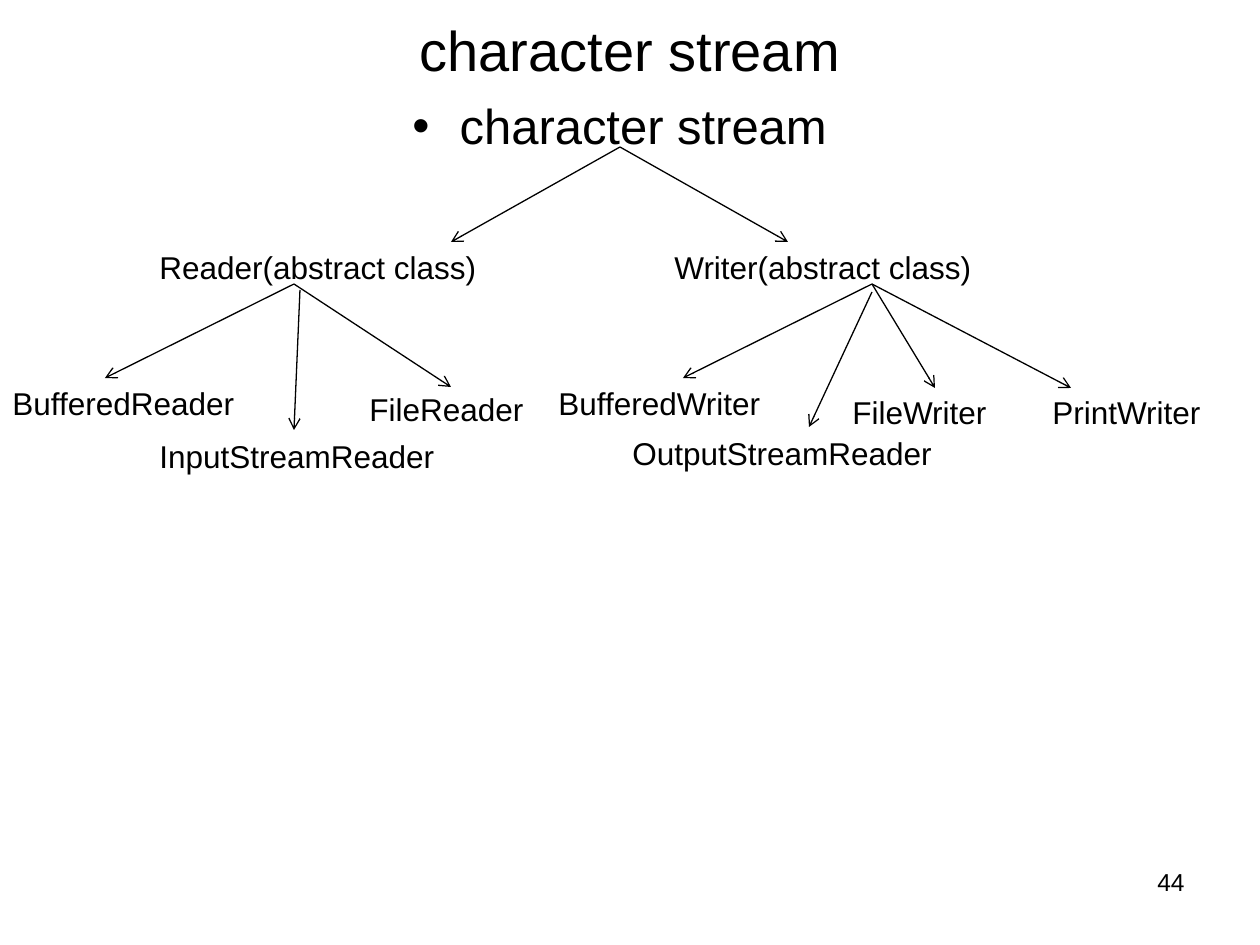
from pptx import Presentation
from pptx.dml.color import RGBColor
from pptx.enum.shapes import MSO_CONNECTOR
from pptx.enum.text import MSO_ANCHOR as ANCHOR, MSO_AUTO_SIZE as FIT, PP_ALIGN as ALIGN
from pptx.oxml.ns import qn
from pptx.util import Emu, Pt
from lxml.etree import SubElement

BLACK = RGBColor(0, 0, 0)
FONT = "Arial"
LABEL_H = 50

# Children of each class, relative to the point where its arrows meet:
# name, label (x, y, width), arrow start, arrow end
READERS = [
    ("BufferedReader", (-294, 94, 262), (0, 0), (-189, 94)),
    ("FileReader", (63, 100, 199), (0, 0), (157, 103)),
    ("InputStreamReader", (-147, 147, 305), (6, 6), (0, 146)),
]
WRITERS = [
    ("BufferedWriter", (-326, 94, 231), (0, 0), (-189, 94)),
    ("FileWriter", (-32, 103, 189), (0, 0), (63, 104)),
    ("PrintWriter", (168, 103, 189), (0, 0), (199, 104)),
    ("OutputStreamReader", (-252, 144, 347), (0, 8), (-63, 143)),
]


def px(n):
    return Emu(round(n * 914400 / 126))


def write(sp, text, size, align):
    tf = sp.text_frame
    tf.word_wrap = True
    tf.text = text
    p = tf.paragraphs[0]
    p.alignment = align
    font = p.runs[0].font
    font.name, font.size, font.color.rgb = FONT, Pt(size), BLACK


def label(slide, text, x, y, w, h=LABEL_H, size=18, align=ALIGN.LEFT):
    sp = slide.shapes.add_textbox(px(x), px(y), px(w), px(h))
    write(sp, text, size, align)


def arrow(slide, x1, y1, x2, y2):
    line = slide.shapes.add_connector(
        MSO_CONNECTOR.STRAIGHT, px(x1), px(y1), px(x2), px(y2))
    line.line.color.rgb = BLACK
    line.line.width = Pt(0.75)
    SubElement(line.line._get_or_add_ln(), qn("a:tailEnd"), type="arrow")
    SubElement(line._element.spPr, qn("a:effectLst"))


def heading(sp, text, box, size, anchor):
    sp.left, sp.top, sp.width, sp.height = map(px, box)
    tf = sp.text_frame
    tf.margin_left = tf.margin_right = tf.margin_top = tf.margin_bottom = 0
    tf.vertical_anchor = anchor
    tf.auto_size = FIT.NONE
    # No bullet or hanging indent, so the line is centred on the box
    pPr = tf.paragraphs[0]._p.get_or_add_pPr()
    pPr.set("marL", "0")
    pPr.set("indent", "0")
    SubElement(pPr, qn("a:buNone"))
    write(sp, text, size, ALIGN.CENTER)
    tf.paragraphs[0].space_before = Pt(0)


def class_tree(slide, x, y, name, name_dx, name_w, children):
    label(slide, name, x + name_dx, y - 42, name_w)
    for text, (dx, dy, w), (x1, y1), (x2, y2) in children:
        arrow(slide, x + x1, y + y1, x + x2, y + y2)
        label(slide, text, x + dx, y + dy, w)


def main():
    prs = Presentation()
    prs.slide_width, prs.slide_height = px(1260), px(945)
    slide = prs.slides.add_slide(prs.slide_layouts[1])

    # Title and root of the tree
    heading(slide.shapes.title, "character stream", (63, 0, 1134, 98), 32, ANCHOR.MIDDLE)
    heading(slide.placeholders[1], "character stream", (0, 96, 1239, 828), 28, ANCHOR.TOP)
    for end_x in (451, 788):
        arrow(slide, 620, 147, end_x, 242)

    # The two class families
    class_tree(slide, 294, 284, "Reader(abstract class)", -147, 420, READERS)
    class_tree(slide, 872, 284, "Writer(abstract class)", -210, 473, WRITERS)

    # Page number
    label(slide, "44", 903, 861, 294, 66, 14, ALIGN.RIGHT)
    prs.save("out.pptx")


if __name__ == "__main__":
    main()
